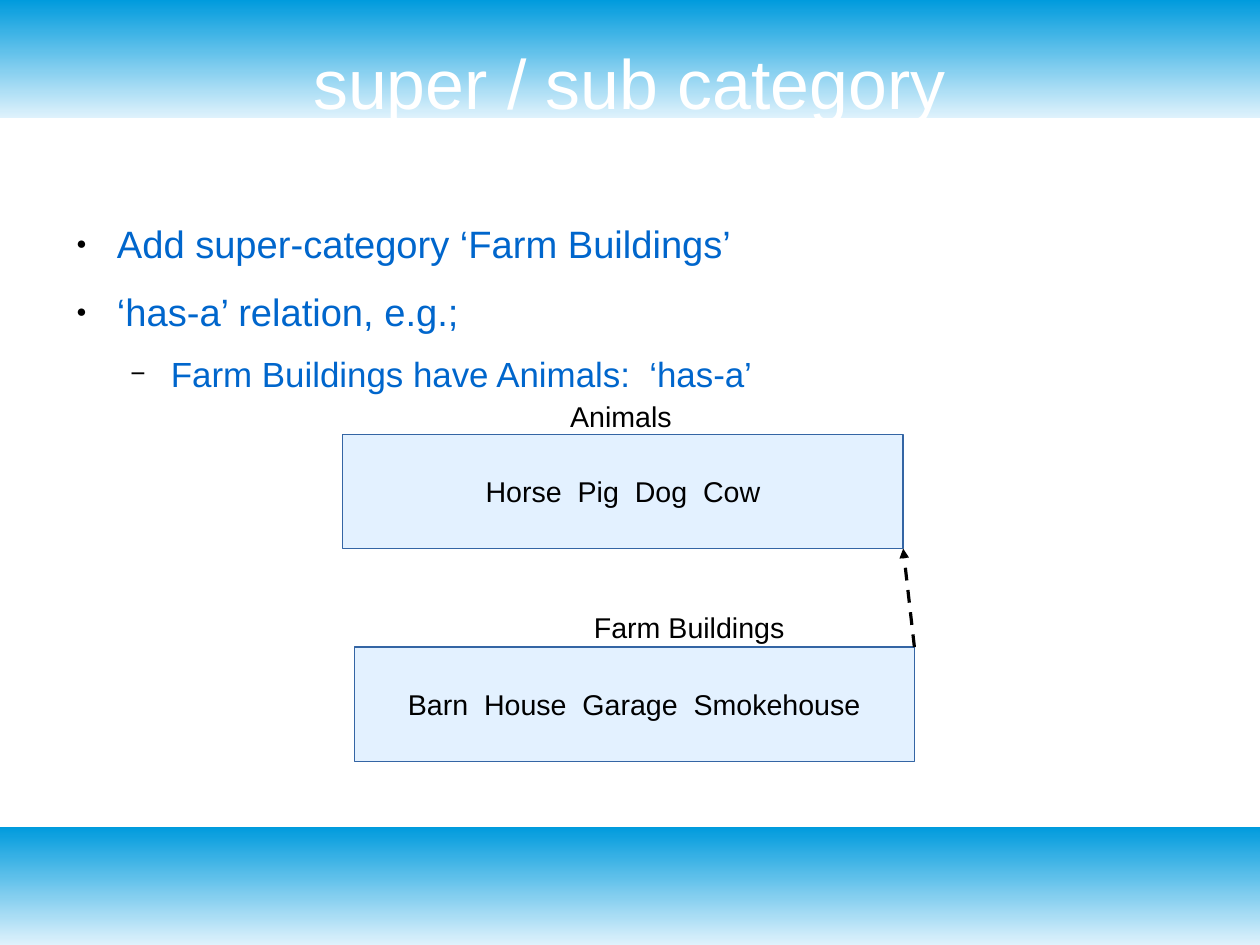
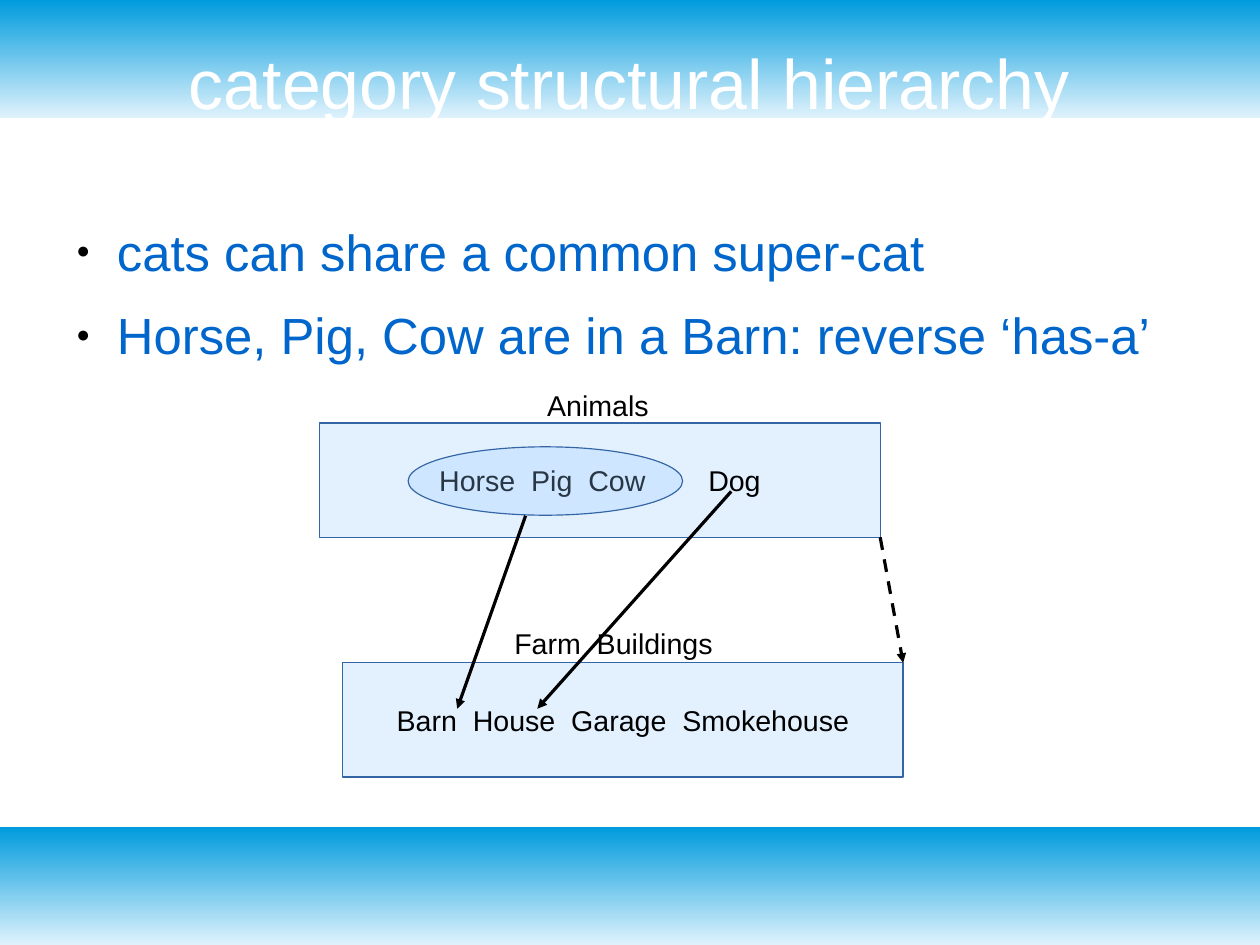
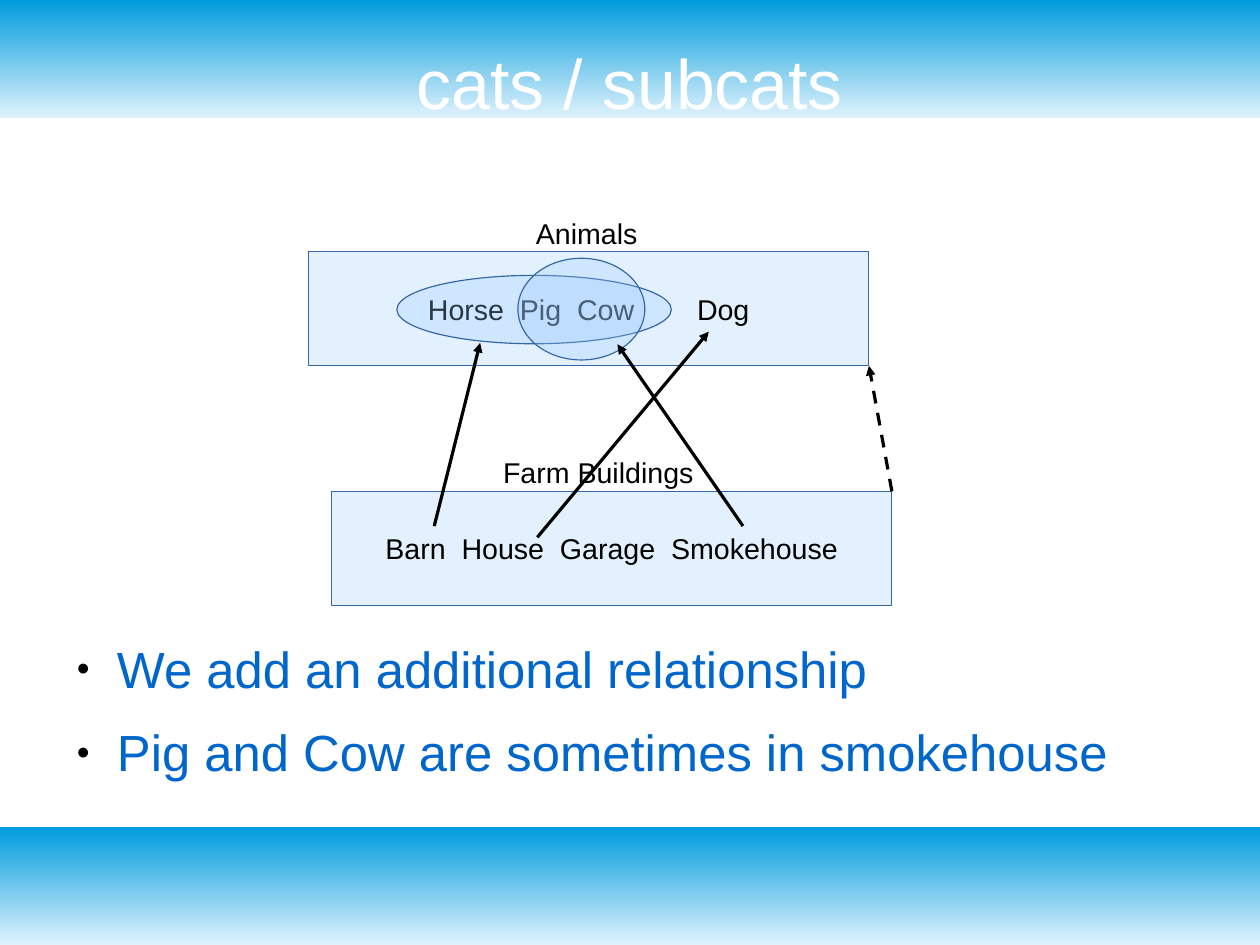
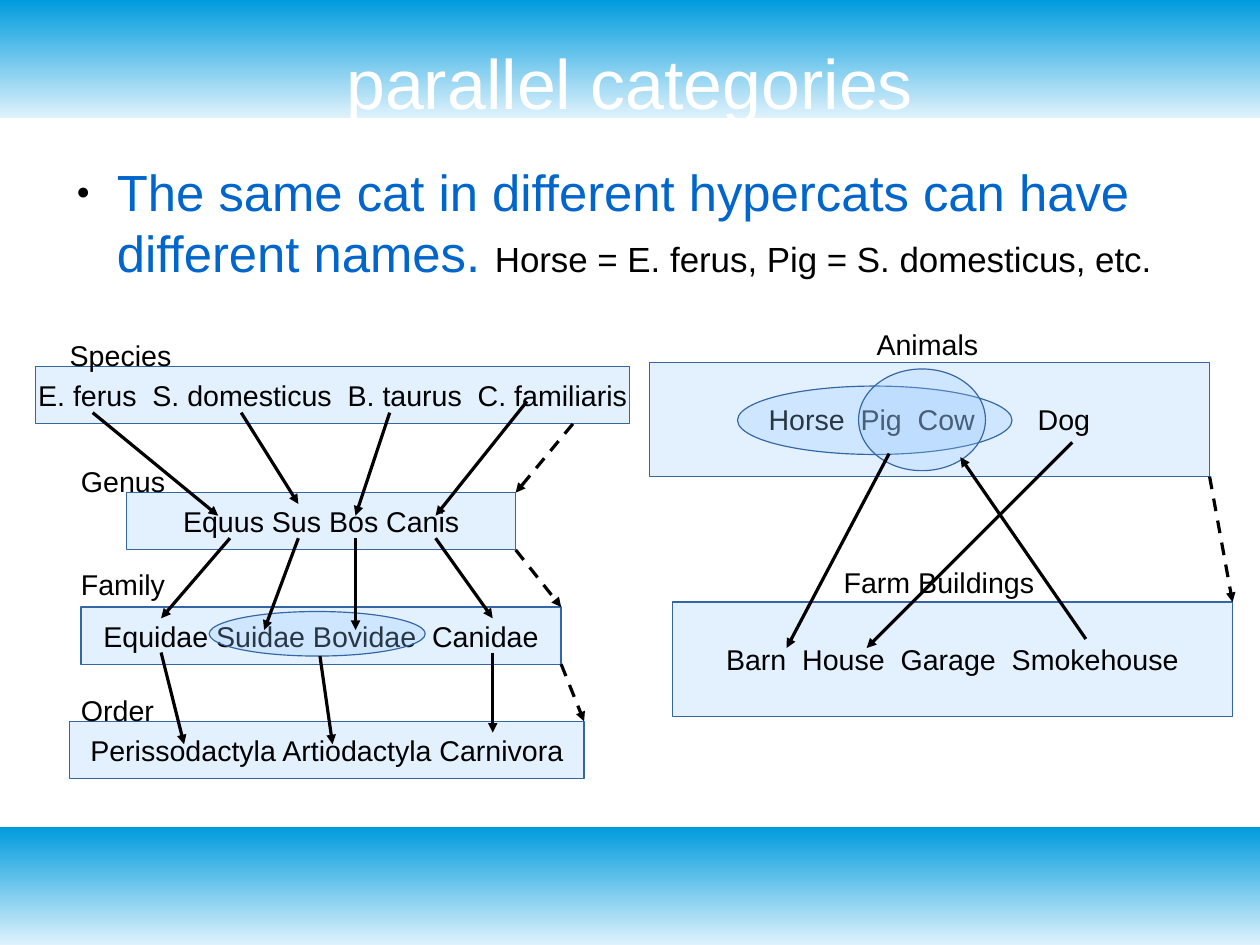
from dataclasses import dataclass

from lxml import etree
from pptx import Presentation
from pptx.dml.color import RGBColor
from pptx.enum.dml import MSO_LINE
from pptx.enum.shapes import MSO_CONNECTOR, MSO_SHAPE
from pptx.enum.text import MSO_ANCHOR, PP_ALIGN
from pptx.oxml.ns import qn
from pptx.util import Cm, Pt

RECTANGLE, OVAL = MSO_SHAPE.RECTANGLE, MSO_SHAPE.OVAL
STRAIGHT, DASH = MSO_CONNECTOR.STRAIGHT, MSO_LINE.DASH
LEFT, CENTER = PP_ALIGN.LEFT, PP_ALIGN.CENTER
TOP, MIDDLE = MSO_ANCHOR.TOP, MSO_ANCHOR.MIDDLE

# Shared style; all lengths are in centimetres
FONT = "Arial"
COLORS = {
    "band_dark": "009BDD",
    "band_light": "DFF2FC",
    "title": "FFFFFF",
    "body": "0066CC",
    "ink": "000000",
    "fill": "99CCFF",
    "outline": "3465A4",
}
PAGE_WIDTH, PAGE_HEIGHT = 28, 21
BAND_HEIGHT = 2.62
MARGIN = 1.4
CONTENT_WIDTH = PAGE_WIDTH - 2 * MARGIN
INSET_X, INSET_Y = 0.25, 0.13
LABEL_HEIGHT = 0.95
SET_WIDTH, SET_HEIGHT = 12.45, 2.54
RANK_HEIGHT = 1.27

ANIMALS = "Horse  Pig  Cow\tDog"
BUILDINGS = "Barn  House  Garage  Smokehouse"


@dataclass(frozen=True)
class Area:
    left: float
    top: float
    width: float
    height: float

    @property
    def right(self) -> float:
        return self.left + self.width

    @property
    def bottom(self) -> float:
        return self.top + self.height

    def moved(self, left: float, top: float) -> "Area":
        return Area(self.left + left, self.top + top, self.width, self.height)


@dataclass(frozen=True)
class Arrow:
    x1: float
    y1: float
    x2: float
    y2: float
    dashed: bool = False

    def moved(self, left: float, top: float) -> "Arrow":
        return Arrow(self.x1 + left, self.y1 + top, self.x2 + left, self.y2 + top, self.dashed)

    def reversed(self) -> "Arrow":
        return Arrow(self.x2, self.y2, self.x1, self.y1, self.dashed)


@dataclass(frozen=True)
class Span:
    text: str
    size: float
    color: str = "body"


@dataclass(frozen=True)
class Bullet:
    spans: tuple[Span, ...]
    level: int = 0


@dataclass(frozen=True)
class Rank:
    name: str
    members: str
    area: Area
    label_left: float
    label_rise: float = 0.76
    exit_inset: float = 0


@dataclass(frozen=True)
class Diagram:
    """Animals above farm buildings; arrows and groups are relative to the animals."""
    left: float
    top: float
    animals: str = ANIMALS
    buildings_shift: tuple[float, float] = (0.51, 5.33)
    buildings_label: str = "Farm Buildings"
    label_shift: float = 3.56
    upward: bool = False
    groups: tuple[Area, ...] = ()
    arrows: tuple[Arrow, ...] = ()


HERD = Area(1.96, 0.53, 6.1, 1.52)
SMOKED = Area(4.65, 0.15, 2.82, 2.26)


# Text
def add_span(para, text: str, *, size: float, color: str) -> None:
    span = para.add_run()
    span.text = text
    span.font.name = FONT
    span.font.size = Pt(size)
    span.font.color.rgb = RGBColor.from_string(COLORS[color])


def write_text(shape, text: str, *, size: float = 18, color: str = "ink", align=LEFT,
               anchor=TOP, wrap: bool = True, inset: tuple[float, float] = (INSET_X, INSET_Y)) -> None:
    frame = shape.text_frame
    frame.word_wrap = wrap
    frame.vertical_anchor = anchor
    frame.margin_left = frame.margin_right = Cm(inset[0])
    frame.margin_top = frame.margin_bottom = Cm(inset[1])
    frame.paragraphs[0].alignment = align
    if text:
        add_span(frame.paragraphs[0], text, size=size, color=color)


def add_box(page, area: Area, text: str, **style):
    box = page.shapes.add_textbox(Cm(area.left), Cm(area.top), Cm(area.width), Cm(area.height))
    write_text(box, text, **style)
    return box


def add_label(page, text: str, left: float, top: float, width: float = 5) -> None:
    add_box(page, Area(left, top, width, LABEL_HEIGHT), text)


def set_bullet(para, level: int) -> None:
    symbol, percent = (("●", 45), ("−", 75))[level]
    properties = para._p.get_or_add_pPr()
    properties.set("marL", str(Cm(1.2 * (level + 1))))
    properties.set("indent", str(Cm(-0.9)))
    color = etree.SubElement(properties, qn("a:buClr"))
    etree.SubElement(color, qn("a:srgbClr"), val=COLORS["ink"])
    etree.SubElement(properties, qn("a:buSzPct"), val=str(percent * 1000))
    etree.SubElement(properties, qn("a:buFont"), typeface=FONT)
    etree.SubElement(properties, qn("a:buChar"), char=symbol)


def add_bullets(page, top: float, bullets: list[Bullet], height: float = 4.5) -> None:
    box = add_box(page, Area(MARGIN, top, CONTENT_WIDTH, height), "", inset=(0, 0))
    for index, bullet in enumerate(bullets):
        para = box.text_frame.add_paragraph() if index else box.text_frame.paragraphs[0]
        set_bullet(para, bullet.level)
        if index:
            para.space_before = Pt((14.2, 11.3)[bullet.level])
        for span in bullet.spans:
            add_span(para, span.text, size=span.size, color=span.color)


# Shapes and arrows
def add_plain_shape(page, kind, area: Area):
    shape = page.shapes.add_shape(kind, Cm(area.left), Cm(area.top), Cm(area.width), Cm(area.height))
    shape.shadow.inherit = False
    return shape


def add_set(page, kind, area: Area):
    shape = add_plain_shape(page, kind, area)
    shape.fill.solid()
    shape.fill.fore_color.rgb = RGBColor.from_string(COLORS["fill"])
    fill_color = shape._element.spPr.find(qn("a:solidFill")).find(qn("a:srgbClr"))
    etree.SubElement(fill_color, qn("a:alpha"), val="27000")
    shape.line.color.rgb = RGBColor.from_string(COLORS["outline"])
    shape.line.width = 0
    return shape


def add_members(page, area: Area, text: str) -> None:
    shape = add_set(page, RECTANGLE, area)
    if "\t" not in text:
        write_text(shape, text, align=CENTER, anchor=MIDDLE, wrap=False)
        return
    # One tab stop sets the last member apart
    write_text(shape, text, anchor=MIDDLE)
    shape.text_frame.margin_left = Cm(2.65)
    properties = shape.text_frame.paragraphs[0]._p.get_or_add_pPr()
    tabs = etree.SubElement(properties, qn("a:tabLst"))
    etree.SubElement(tabs, qn("a:tab"), pos=str(Cm(5.98)), algn="l")


def add_arrow(page, arrow: Arrow) -> None:
    line = page.shapes.add_connector(STRAIGHT, Cm(arrow.x1), Cm(arrow.y1), Cm(arrow.x2), Cm(arrow.y2))
    line.line.color.rgb = RGBColor.from_string(COLORS["ink"])
    line.line.width = 0
    if arrow.dashed:
        line.line.dash_style = DASH
    etree.SubElement(line.line._get_or_add_ln(), qn("a:tailEnd"), type="triangle")
    etree.SubElement(line._element.spPr, qn("a:effectLst"))


def corner_arrow(upper: Area, lower: Area, exit_inset: float = 0) -> Arrow:
    return Arrow(upper.right - exit_inset, upper.bottom, lower.right, lower.top, dashed=True)


def add_diagram(page, diagram: Diagram) -> None:
    origin = diagram.left, diagram.top
    animals = Area(*origin, SET_WIDTH, SET_HEIGHT)
    buildings = animals.moved(*diagram.buildings_shift)
    add_members(page, animals, diagram.animals)
    add_label(page, "Animals", animals.left + 4.8, animals.top - 0.91, 2.8)
    add_members(page, buildings, BUILDINGS)
    add_label(page, diagram.buildings_label, buildings.left + diagram.label_shift,
              buildings.top - LABEL_HEIGHT, 6)
    link = corner_arrow(animals, buildings)
    add_arrow(page, link.reversed() if diagram.upward else link)
    for group in diagram.groups:
        add_set(page, OVAL, group.moved(*origin))
    for arrow in diagram.arrows:
        add_arrow(page, arrow.moved(*origin))


def add_ranks(page, ranks: list[Rank]) -> None:
    for rank in ranks:
        add_members(page, rank.area, rank.members)
        add_label(page, rank.name, rank.label_left, rank.area.top - rank.label_rise)
    for upper, lower in zip(ranks, ranks[1:]):
        add_arrow(page, corner_arrow(upper.area, lower.area, upper.exit_inset))


# Page with gradient bands and title
def add_page(deck, title: str):
    page = deck.slides.add_slide(deck.slide_layouts[6])
    for top in (0, PAGE_HEIGHT - BAND_HEIGHT):
        band = add_plain_shape(page, RECTANGLE, Area(0, top, PAGE_WIDTH, BAND_HEIGHT))
        band.fill.gradient()
        band.fill.gradient_angle = 90
        for stop, name in zip(band.fill.gradient_stops, ("band_light", "band_dark")):
            stop.color.rgb = RGBColor.from_string(COLORS[name])
        band.line.fill.background()
    add_box(page, Area(MARGIN, 0.84, CONTENT_WIDTH, 1.96), title, size=44, color="title",
            align=CENTER, anchor=MIDDLE, inset=(0, 0))
    return page


def main() -> None:
    deck = Presentation()
    deck.slide_width, deck.slide_height = Cm(PAGE_WIDTH), Cm(PAGE_HEIGHT)

    # Super and sub category
    page = add_page(deck, "super / sub category")
    add_bullets(page, 4.9, [
        Bullet((Span("Add super-category ‘Farm Buildings’", 24),)),
        Bullet((Span("‘has-a’ relation, e.g.;", 24),)),
        Bullet((Span("Farm Buildings have Animals:  ‘has-a’", 22),), level=1),
    ])
    add_diagram(page, Diagram(7.62, 9.65, animals="Horse  Pig  Dog  Cow",
                              buildings_shift=(0.25, 4.73), label_shift=5.08, upward=True))

    # Structural hierarchy
    page = add_page(deck, "category structural hierarchy")
    add_bullets(page, 4.9, [
        Bullet((Span("cats can share a common super-cat", 32),)),
        Bullet((Span("Horse, Pig, Cow are in a Barn: reverse ‘has-a’", 32),)),
    ])
    add_diagram(page, Diagram(7.11, 9.4, buildings_label="Farm  Buildings", groups=(HERD,), arrows=(
        Arrow(4.57, 2.06, 3.05, 6.35),
        Arrow(9.14, 1.52, 4.83, 6.35),
    )))

    # Overlapping subcategories
    page = add_page(deck, "cats / subcats")
    add_bullets(page, 14.17, [
        Bullet((Span("We add an additional relationship", 32),)),
        Bullet((Span("Pig and Cow are sometimes in smokehouse", 32),)),
    ], height=4)
    add_diagram(page, Diagram(6.86, 5.59, upward=True, groups=(HERD, SMOKED), arrows=(
        Arrow(2.79, 6.1, 3.81, 2.03),
        Arrow(5.08, 6.35, 8.89, 1.78),
        Arrow(9.65, 6.1, 6.86, 2.06),
    )))

    # Parallel categories
    page = add_page(deck, "parallel categories")
    add_bullets(page, 3.58, [Bullet((
        Span("The same cat in different hypercats can have different names. ", 32),
        Span("Horse = E. ferus, Pig = S. domesticus, etc.", 22, "ink"),
    ))])
    add_diagram(page, Diagram(14.43, 8.05, groups=(HERD, SMOKED), arrows=(
        Arrow(5.33, 2.03, 3.05, 6.35),
        Arrow(9.4, 1.78, 4.83, 6.35),
        Arrow(9.7, 6.15, 6.91, 2.11),
    )))
    add_ranks(page, [
        Rank("Species", "E. ferus  S. domesticus  B. taurus  C. familiaris",
             Area(0.79, 8.15, 13.21, RANK_HEIGHT), 1.3, exit_inset=1.27),
        Rank("Genus", "Equus Sus Bos Canis", Area(2.82, 10.95, 8.64, RANK_HEIGHT), 1.55),
        Rank("Family", "Equidae Suidae Bovidae  Canidae",
             Area(1.8, 13.49, 10.67, RANK_HEIGHT), 1.55, label_rise=1.02),
        Rank("Order", "Perissodactyla Artiodactyla Carnivora",
             Area(1.55, 16.03, 11.43, RANK_HEIGHT), 1.55),
    ])
    add_set(page, OVAL, Area(4.65, 13.59, 4.8, 0.99))
    for arrow in (
        # Species to genus
        Arrow(2.06, 9.17, 4.85, 11.46),
        Arrow(5.36, 9.17, 6.63, 11.2),
        Arrow(8.66, 9.17, 7.9, 11.46),
        Arrow(11.71, 8.92, 9.68, 11.46),
        # Genus to family
        Arrow(5.11, 11.96, 3.58, 13.74),
        Arrow(6.63, 11.96, 5.87, 14),
        Arrow(7.9, 11.96, 7.9, 14),
        Arrow(9.68, 11.96, 10.95, 13.74),
        # Family to order
        Arrow(3.58, 14.5, 4.09, 16.54),
        Arrow(7.11, 14.58, 7.39, 16.54),
        Arrow(10.95, 14.5, 10.95, 16.28),
    ):
        add_arrow(page, arrow)

    deck.save("out.pptx")


if __name__ == "__main__":
    main()
